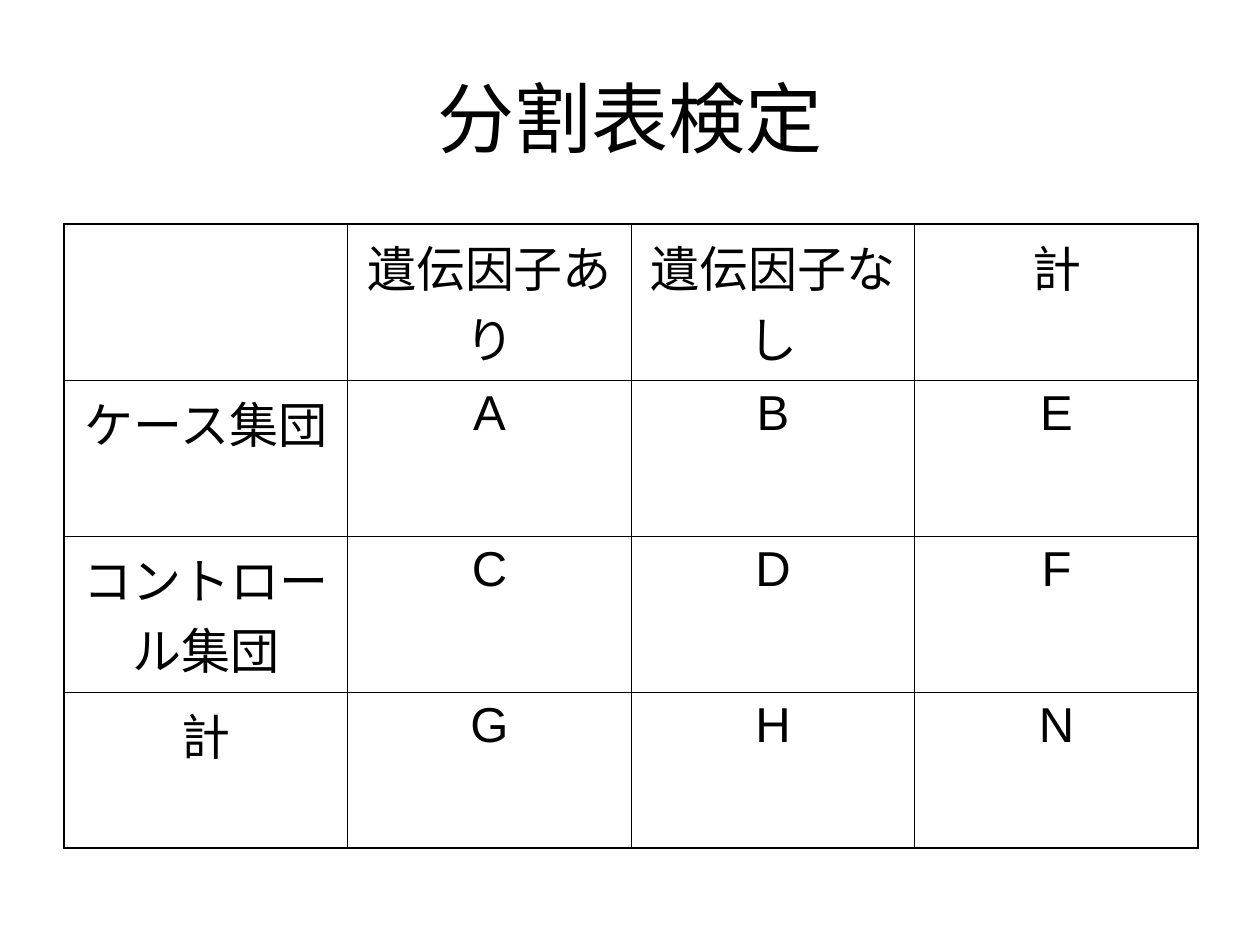
from lxml.etree import SubElement
from pptx import Presentation
from pptx.dml.color import RGBColor
from pptx.enum.text import MSO_ANCHOR, PP_ALIGN
from pptx.oxml.ns import qn
from pptx.util import Inches, Pt

WIDTH, HEIGHT = 10, 7.5
FONT, INK = "Arial", "000000"
THIN, THICK = 0.45, 1.08
TITLE = "分割表検定"
ROWS = [
    ["", "遺伝因子あり", "遺伝因子なし", "計"],
    ["ケース集団", "A", "B", "E"],
    ["コントロール集団", "C", "D", "F"],
    ["計", "G", "H", "N"],
]


def color(value):
    """Return the colour for a hex string."""
    return RGBColor.from_string(value)


def add_text(tf, text, size):
    """Write one centred run into a text frame."""
    tf.word_wrap = True
    p = tf.paragraphs[0]
    p.alignment = PP_ALIGN.CENTER
    r = p.add_run()
    r.text = text
    r.font.name, r.font.size = FONT, Pt(size)
    r.font.color.rgb = color(INK)


def set_borders(cell, outer):
    """Draw the four borders of a cell, thick where they are outer."""
    tc_pr = cell._tc.get_or_add_tcPr()
    for side, is_outer in zip("LRTB", outer):
        width = Pt(THICK if is_outer else THIN)
        ln = SubElement(tc_pr, qn(f"a:ln{side}"), w=str(int(width)))
        fill = SubElement(ln, qn("a:solidFill"))
        SubElement(fill, qn("a:srgbClr"), val=INK)


def add_title(s, box):
    """Place the slide title, centred in its box."""
    tf = s.shapes.add_textbox(*map(Inches, box)).text_frame
    tf.vertical_anchor = MSO_ANCHOR.MIDDLE
    add_text(tf, TITLE, 44)


def add_contingency_table(s, box):
    """Place the table with equal columns and rows."""
    n_rows, n_cols = len(ROWS), len(ROWS[0])
    frame = s.shapes.add_table(n_rows, n_cols, *map(Inches, box))
    table = frame.table
    table.first_row = table.horz_banding = False
    for i, row in enumerate(ROWS):
        for j, text in enumerate(row):
            cell = table.cell(i, j)
            cell.margin_left = cell.margin_right = Inches(0.1)
            cell.margin_top = cell.margin_bottom = Inches(0.05)
            set_borders(cell, (j == 0, j == n_cols - 1, i == 0, i == n_rows - 1))
            cell.fill.background()
            if text:
                add_text(cell.text_frame, text, 28)


def main():
    """Build the slide and save it."""
    prs = Presentation()
    prs.slide_width, prs.slide_height = Inches(WIDTH), Inches(HEIGHT)
    s = prs.slides.add_slide(prs.slide_layouts[6])
    add_title(s, (0.05 * WIDTH, 0.04 * HEIGHT, 0.9 * WIDTH, HEIGHT / 6))
    add_contingency_table(s, (0.51, 1.78, 0.9 * WIDTH, 0.66 * HEIGHT))
    prs.save("out.pptx")


if __name__ == "__main__":
    main()
